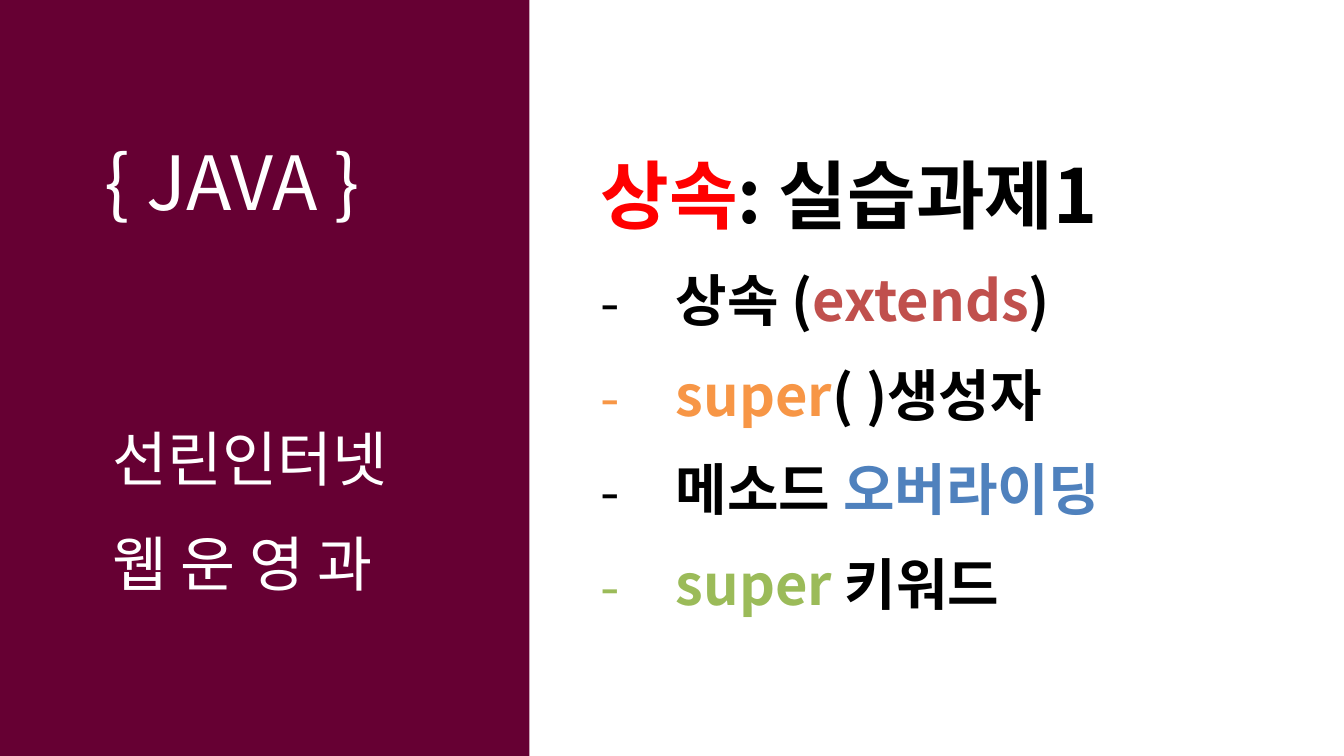
import pptx
import pptx.util
import pptx.dml.color
import pptx.enum.shapes
import pptx.oxml
import pptx.oxml.ns
import lxml.etree

HUES = {"wine": "660033", "white": "FFFFFF", "black": "000000", "red": "FF0000",
        "brick": "C0504D", "gold": "F79646", "blue": "4F81BD", "green": "9BBB59"}
FACE = "Noto Sans CJK KR"

deck = pptx.Presentation()
deck.slide_width = pptx.util.Inches(10)
deck.slide_height = deck.slide_width * 9 // 16
slide = deck.slides.add_slide(deck.slide_layouts[6])
wide, high = deck.slide_width, deck.slide_height


def add_box(left, top, width, height):
    box = slide.shapes.add_textbox(int(left * wide), int(top * high),
                                   int(width * wide), int(height * high))
    box.text_frame.word_wrap = True
    return box.text_frame


def style(run, size, hue, bold=False):
    run.font.size = pptx.util.Pt(size)
    run.font.bold = bold
    run.font.name = FACE
    run.font.color.rgb = pptx.dml.color.RGBColor.from_string(HUES[hue])
    east = lxml.etree.SubElement(run.font._element, pptx.oxml.ns.qn("a:ea"))
    east.set("typeface", FACE)


kinds = pptx.enum.shapes.MSO_SHAPE
for kind, left, top, width, height, turn in [
        (kinds.RECTANGLE, 0, 0, 0.394, 1, 0),
        (kinds.RIGHT_TRIANGLE, 0.119, 0.062, 0.027, 0.083, 90)]:
    shape = slide.shapes.add_shape(kind, int(left * wide), int(top * high),
                                   int(width * wide), int(height * high))
    shape.rotation = turn
    shape.shadow.inherit = False
    shape.fill.solid()
    shape.fill.fore_color.rgb = pptx.dml.color.RGBColor.from_string(HUES["wine"])
    shape.line.fill.background()

for text, left, top, width, height, size in [
        ("{ JAVA }", 0.068, 0.171, 0.277, 0.137, 40),
        ("선린인터넷", 0.074, 0.549, 0.257, 0.114, 32),
        ("웹 운 영 과", 0.074, 0.688, 0.257, 0.114, 32)]:
    frame = add_box(left, top, width, height)
    frame.text = text
    style(frame.paragraphs[0].runs[0], size, "white")

lines = [
    [("상속", "red"), (": 실습과제1", "black")],
    [("상속 (", "black"), ("extends", "brick"), (")", "black")],
    [("super", "gold"), ("( )생성자", "black")],
    [("메소드 ", "black"), ("오버라이딩", "blue")],
    [("super ", "green"), ("키워드", "black")],
]
frame = add_box(0.437, 0.164, 0.449, 0.14)
for row, parts in enumerate(lines):
    para = frame.add_paragraph() if row else frame.paragraphs[0]
    para.line_spacing = 1.2
    props = para._p.get_or_add_pPr()
    props.set("marL", str(pptx.util.Inches(0.56)))
    props.set("indent", str(pptx.util.Inches(-0.56)))
    if row:
        para.space_before = pptx.util.Pt(7.5)
        tint = lxml.etree.SubElement(props, pptx.oxml.ns.qn("a:buClr"))
        lxml.etree.SubElement(tint, pptx.oxml.ns.qn("a:srgbClr")).set("val", HUES[parts[0][1]])
        lxml.etree.SubElement(props, pptx.oxml.ns.qn("a:buFont")).set("typeface", FACE)
        lxml.etree.SubElement(props, pptx.oxml.ns.qn("a:buChar")).set("char", "-")
    for text, hue in parts:
        run = para.add_run()
        run.text = text
        style(run, 30 if row else 40, hue, True)

deck.save("out.pptx")
